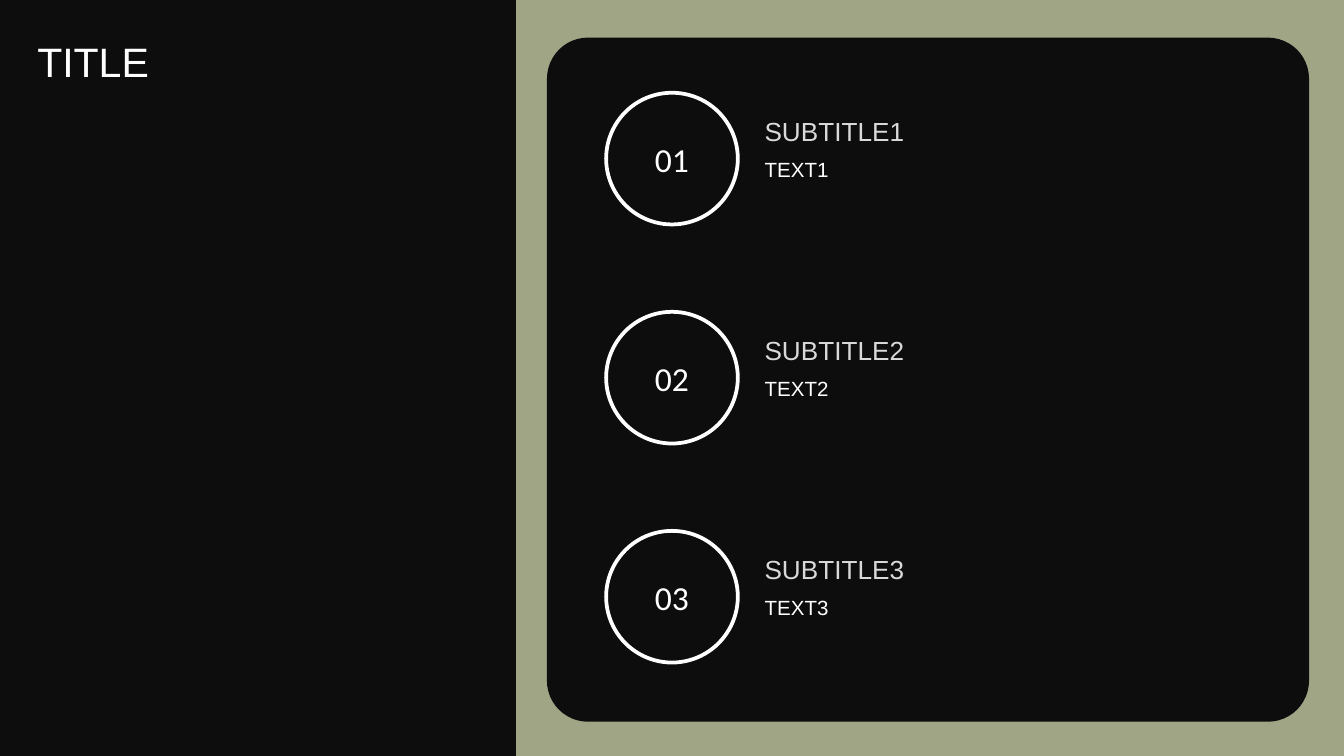
from dataclasses import dataclass

from pptx import Presentation
from pptx.dml.color import RGBColor
from pptx.enum import shapes, text
from pptx.util import Inches, Pt


@dataclass(frozen=True)
class Theme:
    dark: RGBColor = RGBColor(0x0D, 0x0D, 0x0D)
    sage: RGBColor = RGBColor(0xA0, 0xA5, 0x85)
    white: RGBColor = RGBColor(0xFF, 0xFF, 0xFF)
    grey: RGBColor = RGBColor(0xD9, 0xD9, 0xD9)
    text_font: str = "Arial"
    number_font: str = "Calibri"
    title_size: int = 22
    number_size: int = 18
    subtitle_size: int = 14
    body_size: int = 11


THEME = Theme()
SLIDE_WIDTH = 10
SLIDE_HEIGHT = SLIDE_WIDTH * 9 / 16
ITEMS = [
    ("01", "SUBTITLE1", "TEXT1"),
    ("02", "SUBTITLE2", "TEXT2"),
    ("03", "SUBTITLE3", "TEXT3"),
]
FIRST_ITEM_TOP = 0.54
ITEM_PITCH = 1.63


def write(shape, words, size, color, font=THEME.text_font,
          align=text.PP_ALIGN.LEFT, anchor=text.MSO_ANCHOR.TOP):
    frame = shape.text_frame
    frame.word_wrap = True
    frame.vertical_anchor = anchor
    frame.text = words
    paragraph = frame.paragraphs[0]
    paragraph.alignment = align
    run = paragraph.runs[0]
    run.font.name = font
    run.font.size = Pt(size)
    run.font.color.rgb = color


def add_label(slide, box, words, size, color, anchor=text.MSO_ANCHOR.TOP):
    label = slide.shapes.add_textbox(*map(Inches, box))
    write(label, words, size, color, anchor=anchor)


def add_panel(slide, box, color, rounding):
    panel = slide.shapes.add_shape(
        shapes.MSO_SHAPE.ROUNDED_RECTANGLE, *map(Inches, box))
    panel.adjustments[0] = rounding
    panel.shadow.inherit = False
    panel.fill.solid()
    panel.fill.fore_color.rgb = color
    panel.line.fill.background()


def add_number_ring(slide, box, number):
    ring = slide.shapes.add_shape(shapes.MSO_SHAPE.OVAL, *map(Inches, box))
    ring.shadow.inherit = False
    ring.fill.background()
    ring.line.color.rgb = THEME.white
    ring.line.width = Pt(2)
    write(ring, number, THEME.number_size, THEME.white, THEME.number_font,
          text.PP_ALIGN.CENTER, text.MSO_ANCHOR.MIDDLE)


def add_item(slide, top, number, subtitle, body):
    add_number_ring(slide, (4.51, top + 0.15, 0.98, 0.98), number)
    add_label(slide, (5.59, top, 3.91, 0.6), subtitle,
              THEME.subtitle_size, THEME.grey, text.MSO_ANCHOR.BOTTOM)
    add_label(slide, (5.59, top + 0.58, 3.91, 0.88), body,
              THEME.body_size, THEME.white)


def main():
    presentation = Presentation()
    presentation.slide_width = Inches(SLIDE_WIDTH)
    presentation.slide_height = Inches(SLIDE_HEIGHT)
    slide = presentation.slides.add_slide(presentation.slide_layouts[6])
    slide.background.fill.solid()
    slide.background.fill.fore_color.rgb = THEME.dark

    add_panel(slide, (3.84, 0, 6.16, SLIDE_HEIGHT), THEME.sage, 0)
    add_panel(slide, (4.07, 0.28, 5.67, 5.09), THEME.dark, 0.06)
    for index, item in enumerate(ITEMS):
        add_item(slide, FIRST_ITEM_TOP + index * ITEM_PITCH, *item)
    add_label(slide, (0.18, 0.22, 3.44, 2.01), "TITLE",
              THEME.title_size, THEME.white)

    presentation.save("out.pptx")


if __name__ == "__main__":
    main()
